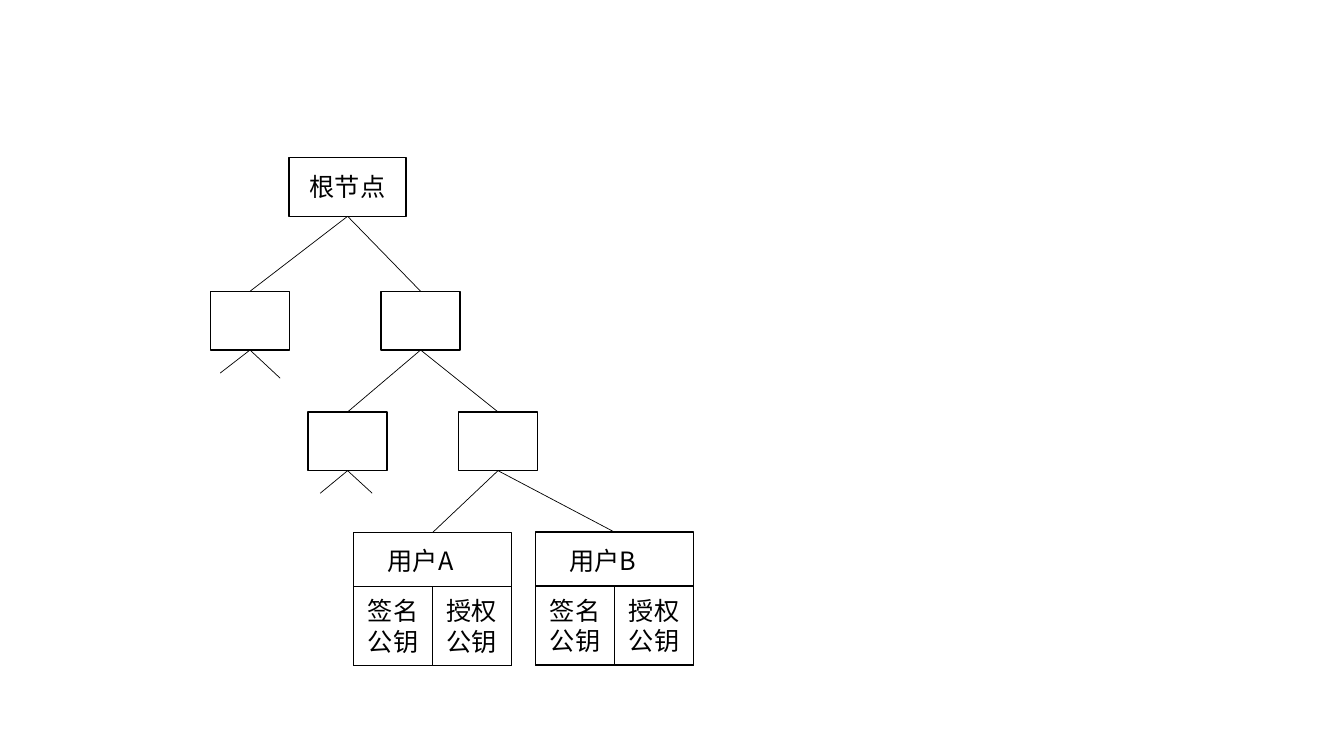
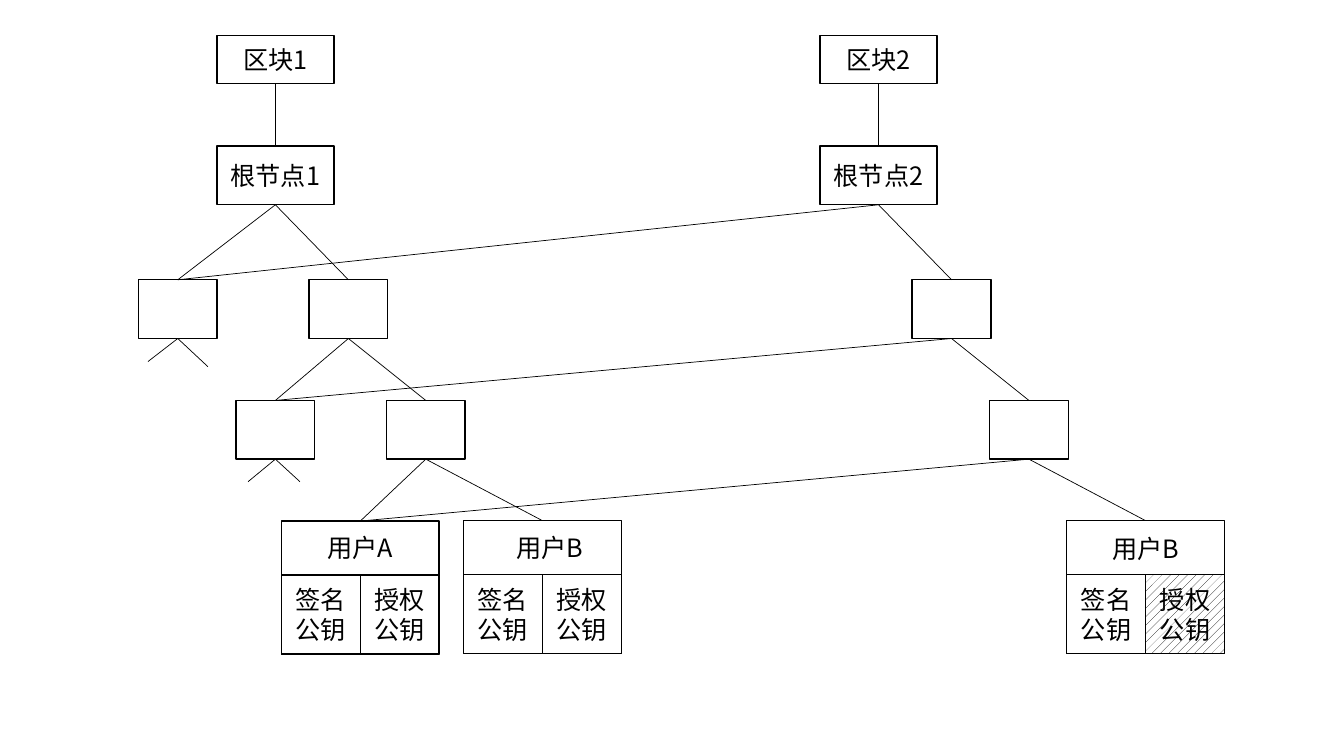
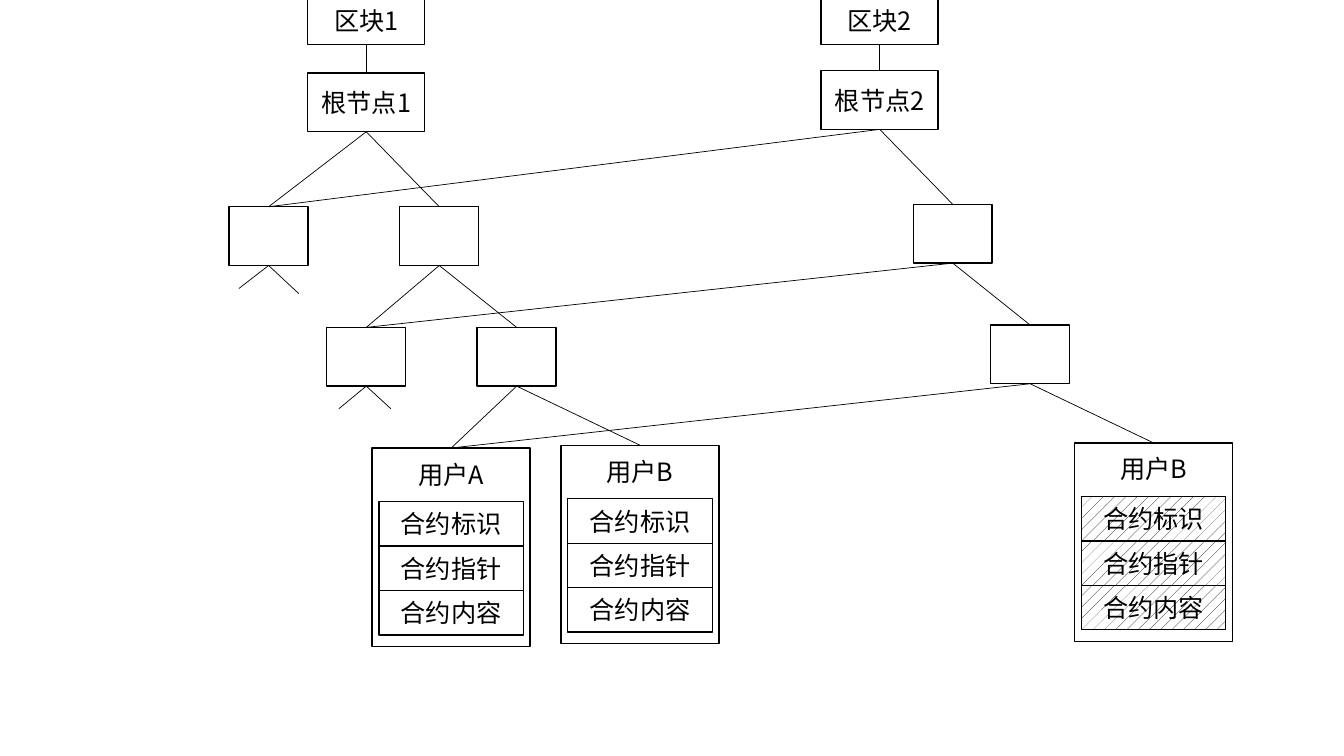
from dataclasses import dataclass

from lxml.etree import SubElement
from pptx import Presentation
from pptx.dml.color import RGBColor
from pptx.enum.dml import MSO_PATTERN
from pptx.enum.shapes import MSO_CONNECTOR, MSO_SHAPE
from pptx.enum.text import MSO_ANCHOR, MSO_AUTO_SIZE, PP_ALIGN
from pptx.oxml.ns import qn
from pptx.util import Cm, Pt

INK, PAPER = "000000", "FFFFFF"
FACE = "Noto Sans CJK SC"
FONT = {"size": Pt(18), "name": FACE}
BODY = {"word_wrap": True, "vertical_anchor": MSO_ANCHOR.MIDDLE}
LABEL = {"word_wrap": True, "auto_size": MSO_AUTO_SIZE.SHAPE_TO_FIT_TEXT}

# Sizes and offsets in cm; offsets run from the top centre of the root.
ROOT_W, NODE_W, NODE_H, BLOCK_H = 2.95, 1.99, 1.48, 1.22
CARD_W, NAME_W, NAME_H = 3.98, 2.82, 1.02
LEFT = [(-2.46, 3.37), (0, 6.41)]
RIGHT = [(1.84, 3.37), (3.79, 6.41)]
CARD_A = (2.14, 9.45)
STUBS = [[(0.76, 0.71), (-0.75, 0.58)], [(0.62, 0.57), (-0.69, 0.57)]]


@dataclass
class Layout:
    """Form of a user card: its height, cells, hatch and place on the right."""
    tall: float
    cells: list
    dark: list
    hatch: MSO_PATTERN
    place: tuple


KEYS = Layout(
    3.35,
    [(text, i * NODE_W, 1.36, NODE_W, NODE_W)
     for i, text in enumerate(["签名公钥", "授权公钥"])],
    ["授权公钥"], MSO_PATTERN.PERCENT_20, (6.73, 9.44))
PARTS = ["合约标识", "合约指针", "合约内容"]
PACTS = Layout(
    5.0,
    [(text, 0.17, 1.35 + i * 1.12, 3.64, 1.12) for i, text in enumerate(PARTS)],
    PARTS, MSO_PATTERN.PERCENT_10, (6.9, 9.38))


def hue(code):
    """Turn a hex string into a colour."""
    return RGBColor.from_string(code)


def apply(item, values):
    """Set each named value on an item."""
    for name, value in values.items():
        setattr(item, name, value)


class Deck:
    """Holds the style and the current slide."""

    def __init__(self):
        """Start an empty wide deck."""
        self.show = Presentation()
        apply(self.show, {"slide_width": Cm(33.87), "slide_height": Cm(19.05)})

    def page(self):
        """Add a blank slide."""
        self.slide = self.show.slides.add_slide(self.show.slide_layouts[6])

    def text(self, shape, words, frame):
        """Put centred text in a shape."""
        apply(shape.text_frame, frame)
        para = shape.text_frame.paragraphs[0]
        para.alignment = PP_ALIGN.CENTER
        run = para.add_run()
        run.text = words
        apply(run.font, FONT)
        run.font.color.rgb = hue(INK)
        style = next(shape.element.iter(qn("a:rPr")))
        SubElement(style, qn("a:ea"), typeface=FACE)

    def box(self, x, y, w, h, words="", hatch=None, home=None):
        """Draw an outlined box, plain or hatched."""
        shapes = (home or self.slide).shapes
        shape = shapes.add_shape(MSO_SHAPE.RECTANGLE, Cm(x), Cm(y), Cm(w), Cm(h))
        shape.shadow.inherit = False
        if hatch:
            shape.fill.patterned()
            shape.fill.pattern = hatch
            shape.fill.fore_color.rgb = hue(INK)
            shape.fill.back_color.rgb = hue(PAPER)
        else:
            shape.fill.solid()
            shape.fill.fore_color.rgb = hue(PAPER)
        shape.line.color.rgb = hue(INK)
        shape.line.width = Pt(1)
        if words:
            self.text(shape, words, BODY)
        return shape

    def node(self, x, y, w=NODE_W, h=NODE_H, words=""):
        """Draw a box centred on x."""
        return self.box(x - w / 2, y, w, h, words)

    def line(self, top, dx=0, dy=0):
        """Draw a thin line from the foot of a box."""
        x, y = top.left + top.width // 2, top.top + top.height
        line = self.slide.shapes.add_connector(
            MSO_CONNECTOR.STRAIGHT, x, y, x + Cm(dx), y + Cm(dy))
        line.begin_connect(top, 2)
        line.line.color.rgb = hue(INK)
        line.line.width = Pt(0.5)
        SubElement(line.element.find(qn("p:spPr")), qn("a:effectLst"))
        return line

    def join(self, top, foot):
        """Link the foot of one box to the top of another."""
        self.line(top).end_connect(foot, 0)

    def card(self, x, y, name, form, spot, new=False):
        """Draw a grouped user card; a new one has hatched cells."""
        group = self.slide.shapes.add_group_shape()
        left = x - CARD_W / 2
        frame = self.box(left, y, CARD_W, form.tall, home=group)
        dx, dy = spot
        label = group.shapes.add_textbox(
            Cm(x - NAME_W / 2 + dx), Cm(y + dy), Cm(NAME_W), Cm(NAME_H))
        self.text(label, name, LABEL)
        for words, across, down, w, h in form.cells:
            hatch = form.hatch if new and words in form.dark else None
            self.box(left + across, y + down, w, h, words, hatch, group)
        return frame

    def tree(self, x, y, name, form, spots, old=None):
        """Draw a tree, sharing the left branches of an old one if given."""
        root = self.node(x, y, ROOT_W, words=name)
        lefts = old
        if not old:
            lefts = [self.node(x + dx, y + dy) for dx, dy in LEFT]
            for node, ends in zip(lefts, STUBS):
                for dx, dy in ends:
                    self.line(node, dx, dy)
            dx, dy = CARD_A
            lefts.append(self.card(x + dx, y + dy, "用户A", form, spots[0]))
        spine = [root] + [self.node(x + dx, y + dy) for dx, dy in RIGHT]
        dx, dy = form.place
        spine.append(
            self.card(x + dx, y + dy, "用户B", form, spots[-1], bool(old)))
        for top, left, right in zip(spine, lefts, spine[1:]):
            self.join(top, left)
            self.join(top, right)
        return root, lefts

    def chain(self, top, form, trees):
        """Draw two blocks, each with its tree, the second reusing the first."""
        self.page()
        old = None
        for i, (x, y, spots) in enumerate(trees, 1):
            root, old = self.tree(x, y, f"根节点{i}", form, spots, old)
            self.join(self.node(x, top, ROOT_W, BLOCK_H, f"区块{i}"), root)


deck = Deck()
deck.page()
deck.tree(8.76, 3.97, "根节点", KEYS, [(-0.3, 0.2)])
deck.chain(0.89, KEYS, [
    (6.94, 3.68, [(0, 0.15), (0.19, 0.18)]),
    (22.14, 3.68, [(0, 0.2)])])
deck.chain(-0.1, PACTS, [
    (9.23, 1.84, [(0, 0.15)]),
    (22.17, 1.78, [(0, 0.15)])])
deck.show.save("out.pptx")
